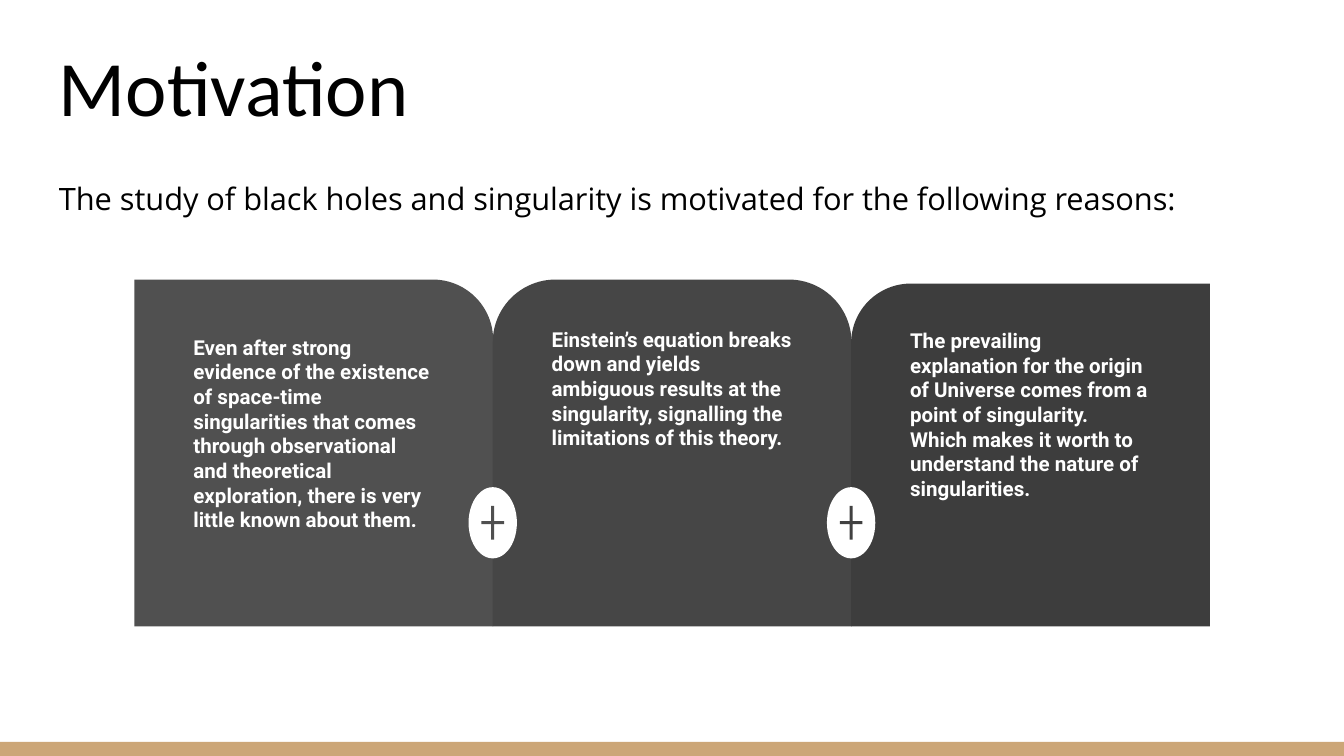
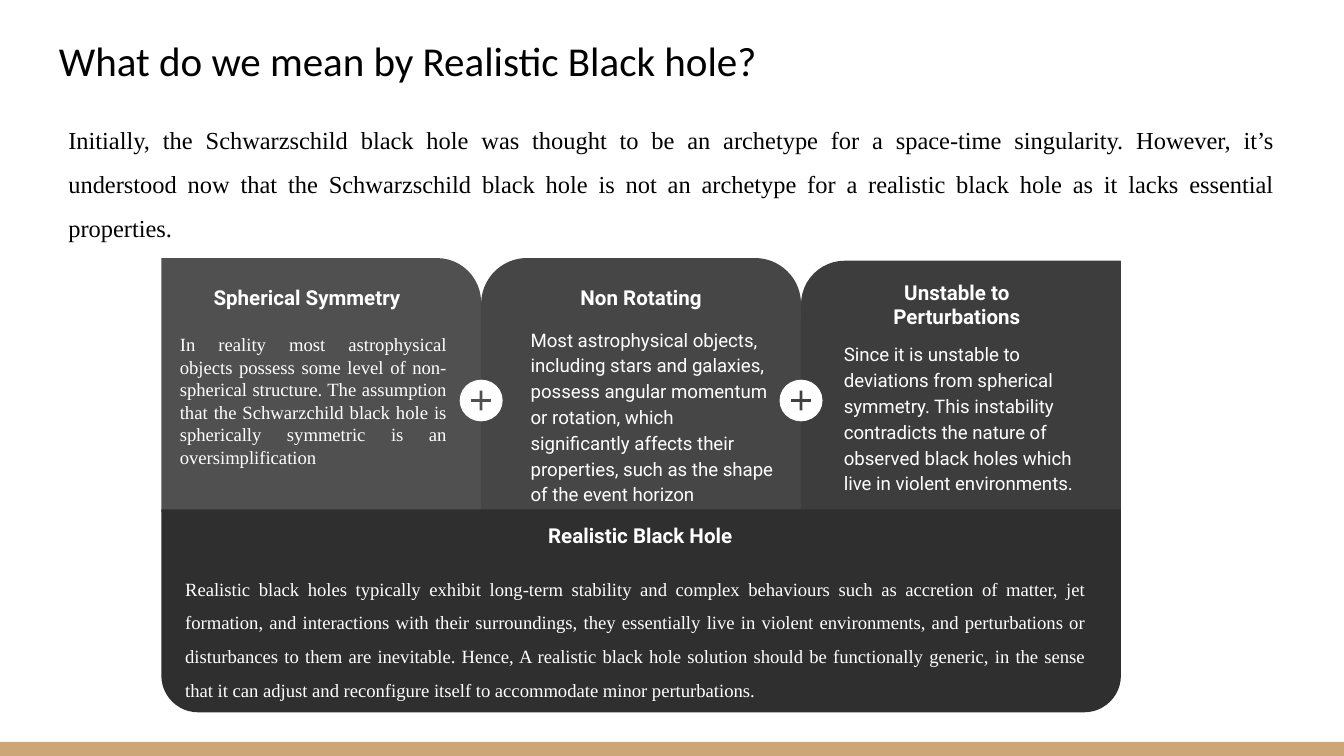
from pptx import Presentation
from pptx.dml.color import RGBColor
from pptx.enum.shapes import MSO_SHAPE
from pptx.enum.text import MSO_ANCHOR, PP_ALIGN
from pptx.util import Inches, Pt

COLORS = {
    "band": "CCA677", "white": "FFFFFF", "black": "000000",
    "left": "505050", "mid": "464646", "right": "3D3D3D",
    "plus": "414141", "base": "2F2F2F",
}
SERIF, SANS = "Times New Roman", "Roboto"
WIDE = 10
TALL = WIDE * 9 / 16
EDGE = 0.34


def add_form(slide, kind, box, color, *adjust):
    """Add a plain filled shape."""
    form = slide.shapes.add_shape(kind, *map(Inches, box))
    form.shadow.inherit = False
    form.fill.solid()
    form.fill.fore_color.rgb = RGBColor.from_string(COLORS[color])
    form.line.fill.background()
    for i, value in enumerate(adjust):
        form.adjustments[i] = value
    return form


def style(para, size, font, color="white", bold=False, align=PP_ALIGN.LEFT,
          lines=None, inset=0):
    para.alignment = align
    if lines:
        para.line_spacing = lines
    # Justified text keeps clear of the right edge
    props = para._p.get_or_add_pPr()
    if inset:
        props.set("marL", str(Inches(inset)))
    if align == PP_ALIGN.JUSTIFY:
        props.set("marR", str(Inches(0.08)))
    for run in para.runs:
        run.font.size = Pt(size)
        run.font.name = font
        run.font.bold = bold
        run.font.color.rgb = RGBColor.from_string(COLORS[color])


def add_text(slide, box, text, size, font, anchor=MSO_ANCHOR.TOP, **look):
    """Add a wrapped text box with one styled paragraph."""
    frame = slide.shapes.add_textbox(*map(Inches, box)).text_frame
    frame.word_wrap = True
    frame.vertical_anchor = anchor
    frame.margin_left = frame.margin_right = Inches(0.1)
    frame.margin_top = frame.margin_bottom = Inches(0.1)
    frame.text = text
    style(frame.paragraphs[0], size, font, **look)
    return frame


def add_page(deck, title, top, height, size):
    """Start a slide with its title and bottom band."""
    slide = deck.slides.add_slide(deck.slide_layouts[6])
    add_form(slide, MSO_SHAPE.RECTANGLE, (0, 5.52, WIDE, 0.11), "band")
    add_text(slide, (EDGE, top, WIDE - 2 * EDGE, height), title, size, "Calibri",
             MSO_ANCHOR.BOTTOM, color="black")
    return slide


def add_panels(slide, box, drop):
    """Draw three equal panels; the last one starts lower by drop."""
    left, top, width, height = box
    step = width / 3
    kinds = [
        (MSO_SHAPE.ROUND_1_RECTANGLE, "left", 0, (0.174,)),
        (MSO_SHAPE.ROUND_2_SAME_RECTANGLE, "mid", 0, (0.181, 0)),
        (MSO_SHAPE.ROUND_1_RECTANGLE, "right", drop, (0.174,)),
    ]
    for i, (kind, color, down, adjust) in enumerate(kinds):
        spot = (left + i * step, top + down, round(step, 2), height - down)
        panel = add_form(slide, kind, spot, color, *adjust)
    # The last panel mirrors the first
    panel.element.spPr.get_or_add_xfrm().set("flipH", "1")


def add_signs(slide, box, center, disc, cross):
    """Put a plus sign on each seam between the panels."""
    left, _, width, _ = box
    for i, color in enumerate(("left", "plus"), 1):
        seam = left + i * width / 3
        for kind, (wide, high), fill, adjust in (
            (MSO_SHAPE.OVAL, disc, "white", ()),
            (MSO_SHAPE.MATH_PLUS, cross, color, (0.099,)),
        ):
            spot = (seam - wide / 2, center - high / 2, wide, high)
            add_form(slide, kind, spot, fill, *adjust)


def add_base(slide, box, head, text):
    """Draw the wide panel below the row."""
    left, top, width, height = box
    base = add_form(slide, MSO_SHAPE.ROUND_2_SAME_RECTANGLE, box, "base", 0.181, 0)
    base.rotation = 180
    frame = add_text(slide, (left + 0.08, top, width - 0.17, height - 0.19), head,
                     11, SANS, bold=True, align=PP_ALIGN.CENTER)
    para = frame.add_paragraph()
    para.text = text
    para.space_before = Pt(10)
    style(para, 10, SERIF, align=PP_ALIGN.JUSTIFY, lines=1.5)


def add_reasons(deck):
    slide = add_page(deck, "Motivation", 0.17, 0.91, 42)
    add_text(slide, (EDGE, 1.2, 8.59, 0.8),
             "The study of black holes and singularity is motivated for the following reasons:",
             16.5, "Open Sans", color="black", lines=1.15)

    # Row of reasons
    row = left, top, width, _ = (1, 2.08, 8, 2.58)
    add_panels(slide, row, 0.03)
    reasons = [
        (0.31, 1.99, 2.58, "Even after strong evidence of the existence of space-time "
         "singularities that comes through observational and theoretical exploration, there "
         "is very little known about them."),
        (0.25, 1.99, 2.39, "Einstein’s equation breaks down and yields ambiguous results at "
         "the singularity, signalling the limitations of this theory."),
        (0.26, 1.97, 1.79, "The prevailing explanation for the origin of Universe comes from a "
         "point of singularity. Which makes it worth to understand the nature of "
         "singularities."),
    ]
    for i, (down, wide, high, text) in enumerate(reasons):
        spot = (left + i * width / 3 + 0.34, top + down, wide, high)
        add_text(slide, spot, text, 11, SANS, bold=True)
    add_signs(slide, row, 3.89, (0.36, 0.53), (0.23, 0.34))


def add_traits(deck):
    slide = add_page(deck, "What do we mean by Realistic Black hole?", 0.2, 0.53, 22)
    add_text(slide, (EDGE, 0.72, WIDE - 2 * EDGE, 0.88),
             "Initially, the Schwarzschild black hole was thought to be an archetype for a "
             "space-time singularity. However, it’s understood now that the Schwarzschild black "
             "hole is not an archetype for a realistic black hole as it lacks essential properties.",
             13.1, SERIF, color="black", align=PP_ALIGN.JUSTIFY, lines=1.5, inset=0.07)

    # Row of traits: head and text with offsets inside each panel
    row = left, top, width, _ = (1.2, 1.92, 7.14, 1.89)
    add_panels(slide, row, 0.02)
    serif = dict(font=SERIF, align=PP_ALIGN.JUSTIFY)
    sans = dict(font=SANS, lines=1.15)
    traits = [
        ("Spherical Symmetry", (0.29, 0.11), PP_ALIGN.LEFT,
         "In reality most astrophysical objects possess some level of non-spherical structure. "
         "The assumption that the Schwarzchild black hole is spherically symmetric is an "
         "oversimplification", (0.04, 0.46, 2.26, 1.32), serif),
        ("Non Rotating", (0.3, 0.11), PP_ALIGN.CENTER,
         "Most astrophysical objects, including stars and galaxies, possess angular momentum or "
         "rotation, which significantly affects their properties, such as the shape of the event "
         "horizon", (0.27, 0.4, 2, 1.47), sans),
        ("Unstable to Perturbations", (0.27, 0.06), PP_ALIGN.CENTER,
         "Since it is unstable to deviations from spherical symmetry. This instability "
         "contradicts the nature of observed black holes which live in violent environments.",
         (0.22, 0.51, 2.02, 1.3), sans),
    ]
    for i, (head, (over, down), align, text, (x, y, wide, high), look) in enumerate(traits):
        start = left + i * width / 3
        add_text(slide, (start + over, top + down, 1.78, 0.55), head, 11, SANS,
                 bold=True, align=align)
        add_text(slide, (start + x, top + y, wide, high), text, 10, **look)
    add_signs(slide, row, 2.98, (0.32, 0.31), (0.2, 0.2))

    add_base(slide, (left, 3.79, width, 1.51), "Realistic Black Hole",
             "Realistic black holes typically exhibit long-term stability and complex behaviours "
             "such as accretion of matter, jet formation, and interactions with their "
             "surroundings, they essentially live in violent environments, and perturbations or "
             "disturbances to them are inevitable. Hence, A realistic black hole solution should "
             "be functionally generic, in the sense that it can adjust and reconfigure itself to "
             "accommodate minor perturbations.")


def main():
    deck = Presentation()
    deck.slide_width, deck.slide_height = Inches(WIDE), Inches(TALL)
    add_reasons(deck)
    add_traits(deck)
    deck.save("out.pptx")


if __name__ == "__main__":
    main()
